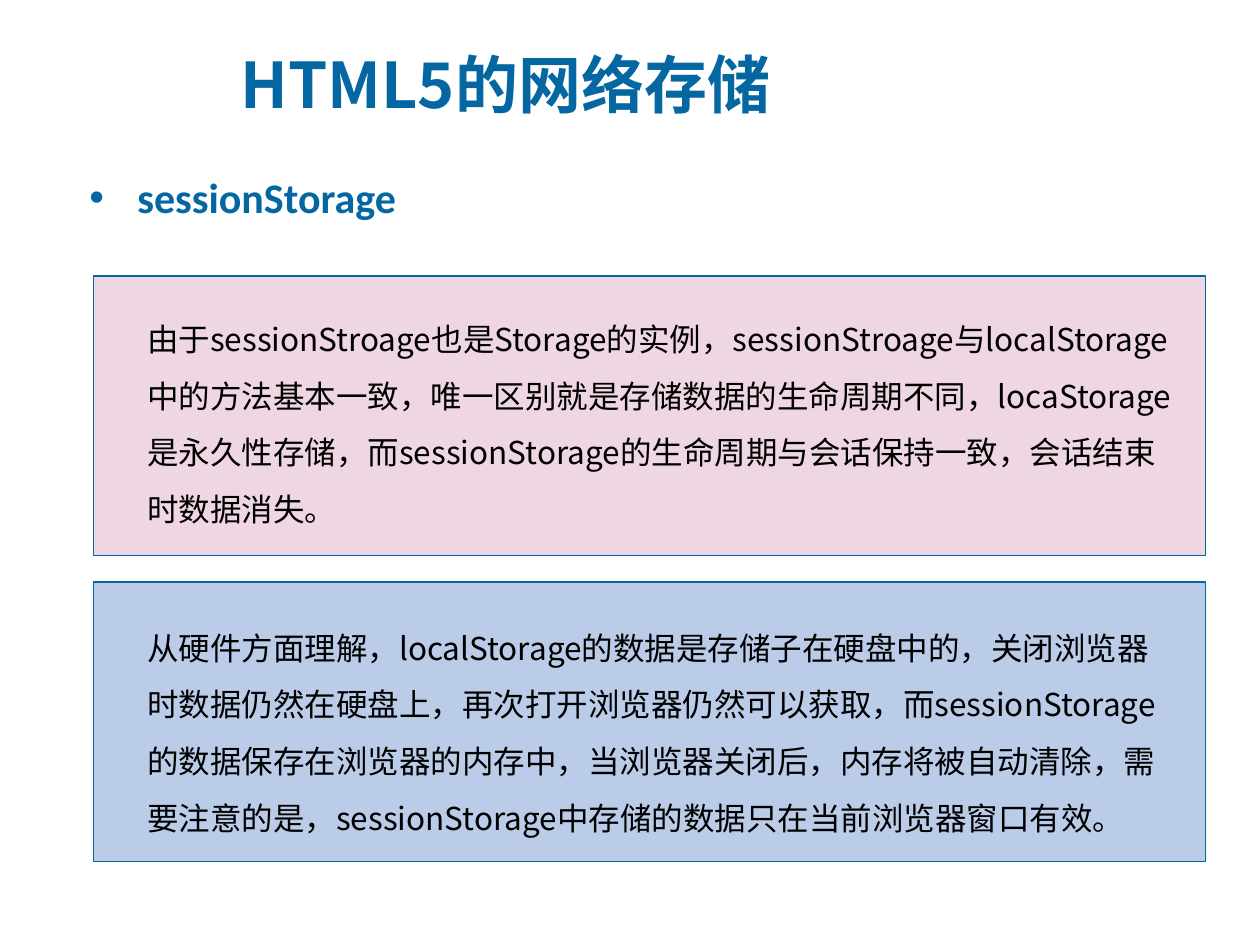
from lxml import etree
from pptx import Presentation
from pptx.dml.color import RGBColor
from pptx.enum.shapes import MSO_SHAPE
from pptx.enum.text import MSO_ANCHOR, MSO_AUTO_SIZE, PP_ALIGN
from pptx.oxml.ns import qn
from pptx.util import Inches, Pt

RECT = MSO_SHAPE.RECTANGLE
MIDDLE, TOP = MSO_ANCHOR.MIDDLE, MSO_ANCHOR.TOP
NO_FIT = MSO_AUTO_SIZE.NONE
LEFT = PP_ALIGN.LEFT

COLORS = {"blue": "0567A2", "pink": "EDD3E1", "sky": "B4C7E7", "text": "000000"}
CJK = "Noto Sans CJK SC"
TITLE_FONT = {"name": CJK, "size": Pt(36), "bold": True}
TOPIC_FONT = {"name": "Calibri", "size": Pt(24), "bold": True}
BODY_FONT = {"name": CJK, "size": Pt(18), "bold": False}

# Fill, panel top, text offset from the panel top, wording
PANELS = [
    ("pink", 2.19, 0.15,
     "由于sessionStroage也是Storage的实例，sessionStroage与localStorage中的方法基本一致，"
     "唯一区别就是存储数据的生命周期不同，locaStorage是永久性存储，"
     "而sessionStorage的生命周期与会话保持一致，会话结束时数据消失。"),
    ("sky", 4.62, 0.17,
     "从硬件方面理解，localStorage的数据是存储子在硬盘中的，关闭浏览器时数据仍然在硬盘上，"
     "再次打开浏览器仍然可以获取，而sessionStorage的数据保存在浏览器的内存中，"
     "当浏览器关闭后，内存将被自动清除，需要注意的是，"
     "sessionStorage中存储的数据只在当前浏览器窗口有效。"),
]


def place(sp, box):
    sp.left, sp.top, sp.width, sp.height = (Inches(v) for v in box)


def write(sp, text, font, color, anchor=TOP, **para):
    tf = sp.text_frame
    for name, value in {"word_wrap": True, "auto_size": NO_FIT,
                        "vertical_anchor": anchor}.items():
        setattr(tf, name, value)
    p = tf.paragraphs[0]
    for name, value in {"alignment": LEFT, **para}.items():
        setattr(p, name, value)
    r = p.add_run()
    r.text = text
    for name, value in font.items():
        setattr(r.font, name, value)
    r.font.color.rgb = RGBColor.from_string(COLORS[color])
    # East Asian characters take their own typeface entry
    etree.SubElement(r.font._element, qn("a:ea"), typeface=CJK)
    return p


def add_title(s, box):
    sp = s.shapes.title
    place(sp, box)
    write(sp, "HTML5的网络存储", TITLE_FONT, "blue", MIDDLE)


def add_topic(s, box):
    sp = s.placeholders[1]
    place(sp, box)
    p = write(sp, "sessionStorage", TOPIC_FONT, "blue",
              line_spacing=1.5, space_before=Pt(4.8))
    pPr = p._p.get_or_add_pPr()
    pPr.set("marL", str(Inches(0.38)))
    pPr.set("indent", str(-Inches(0.38)))


def add_panel(s, box, fill, inset, text):
    x, y, w, h = box
    sp = s.shapes.add_shape(RECT, *(Inches(v) for v in box))
    sp.shadow.inherit = False
    sp.fill.solid()
    sp.fill.fore_color.rgb = RGBColor.from_string(COLORS[fill])
    srgb = sp._element.spPr.find(".//" + qn("a:srgbClr"))
    etree.SubElement(srgb, qn("a:alpha"), val="90000")
    sp.line.color.rgb = RGBColor.from_string(COLORS["blue"])
    sp.line.width = Pt(0.75)

    text_box = (x + 0.33, y + inset, w - 0.5, h - 0.3)
    tb = s.shapes.add_textbox(*(Inches(v) for v in text_box))
    write(tb, text, BODY_FONT, "text", line_spacing=1.5)


def main():
    prs = Presentation()
    prs.slide_width, prs.slide_height = Inches(10), Inches(7.5)
    s = prs.slides.add_slide(prs.slide_layouts[1])

    # Heading and topic
    add_title(s, (1.81, 0.27, 8.18, 0.79))
    add_topic(s, (0.61, 1.11, 2.81, 0.64))

    # Explanation panels
    for fill, top, inset, text in PANELS:
        add_panel(s, (0.74, top, 8.83, 2.22), fill, inset, text)

    prs.save("out.pptx")


if __name__ == "__main__":
    main()
